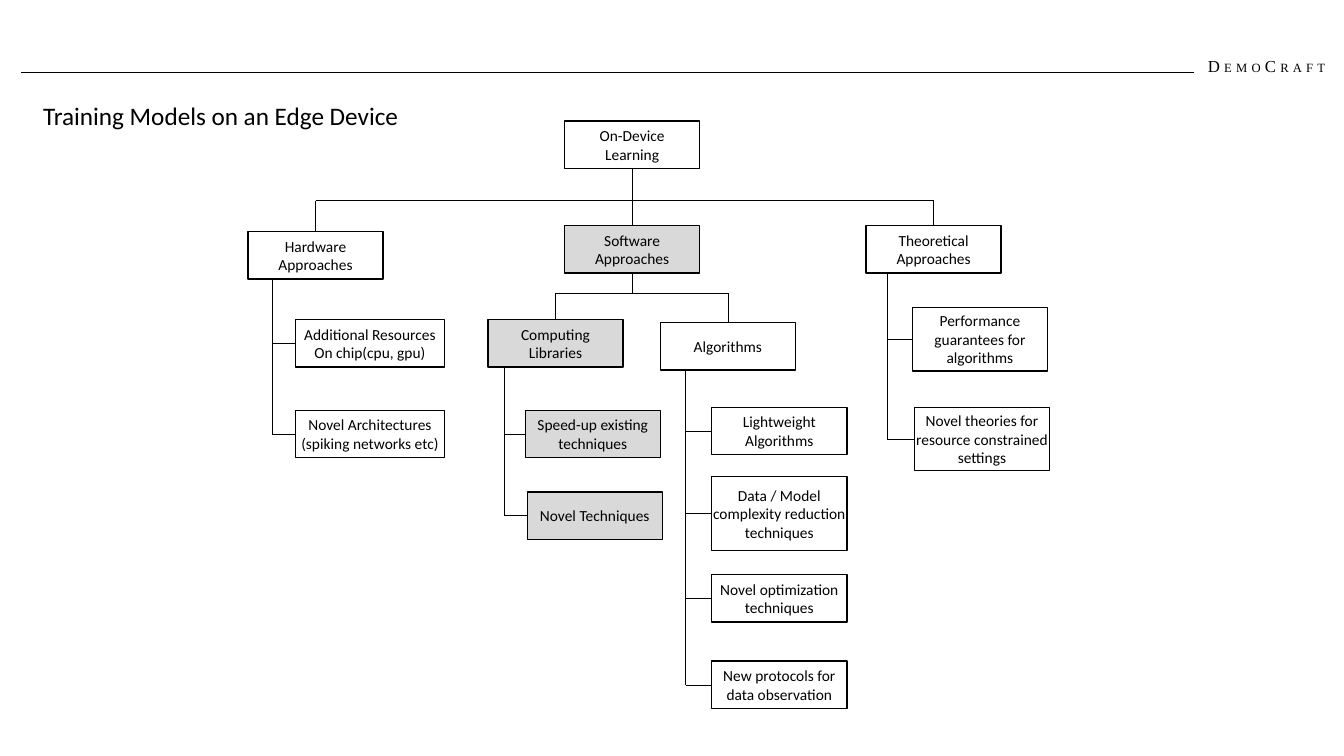
from lxml import etree
from pptx import Presentation
from pptx.dml.color import RGBColor
from pptx.enum.shapes import MSO_CONNECTOR, MSO_SHAPE
from pptx.enum.text import MSO_ANCHOR, MSO_AUTO_SIZE, PP_ALIGN
from pptx.oxml.ns import qn
from pptx.util import Inches, Pt

BLACK = RGBColor(0x00, 0x00, 0x00)
GREY = RGBColor(0xD9, 0xD9, 0xD9)
STRAIGHT = MSO_CONNECTOR.STRAIGHT
RECTANGLE = MSO_SHAPE.RECTANGLE
MIDDLE = MSO_ANCHOR.MIDDLE
CENTER = PP_ALIGN.CENTER
GROW = MSO_AUTO_SIZE.SHAPE_TO_FIT_TEXT
TOP, LEFT, BOTTOM = 0, 1, 2
BODY_FONT, HEADER_FONT = "Calibri", "Times New Roman"
BOX_W, BOX_H = 1.34, 0.47
WIDE_W, TALL_H = 1.48, 0.63


def style_run(r, size, font):
    r.font.size = Pt(size)
    r.font.name = font
    r.font.color.rgb = BLACK


def clear_insets(tf):
    tf.margin_left = tf.margin_right = tf.margin_top = tf.margin_bottom = 0


def add_box(s, text, x, y, w=BOX_W, h=BOX_H, shaded=False, tight=False):
    """Add a node; a tight one has no text insets."""
    sp = s.shapes.add_shape(RECTANGLE, Inches(x), Inches(y), Inches(w), Inches(h))
    sp.shadow.inherit = False
    if shaded:
        sp.fill.solid()
        sp.fill.fore_color.rgb = GREY
    else:
        sp.fill.background()
    sp.line.color.rgb = BLACK
    sp.line.width = Pt(1)
    tf = sp.text_frame
    tf.text = text
    tf.word_wrap = True
    tf.vertical_anchor = MIDDLE
    if tight:
        clear_insets(tf)
    for p in tf.paragraphs:
        p.alignment = CENTER
        style_run(p.runs[0], 11, BODY_FONT)
    return sp


def add_line(s, x1, y1, x2, y2):
    line = s.shapes.add_connector(STRAIGHT, x1, y1, x2, y2)
    line.line.color.rgb = BLACK
    line.line.width = Pt(0.5)
    etree.SubElement(line._element.spPr, qn("a:effectLst"))
    return line


def center_x(sp):
    return sp.left + sp.width // 2


def center_y(sp):
    return sp.top + sp.height // 2


def add_bus(s, parent, children, y, middle=None):
    """Link parent to children through a level line at y, and straight down to middle."""
    y = Inches(y)
    trunk_x = center_x(parent)
    trunk = add_line(s, trunk_x, parent.top + parent.height, trunk_x, y)
    trunk.begin_connect(parent, BOTTOM)
    if middle is not None:
        trunk.end_connect(middle, TOP)
    add_line(s, center_x(children[0]), y, center_x(children[-1]), y)
    for child in children:
        drop = add_line(s, center_x(child), y, center_x(child), child.top)
        drop.end_connect(child, TOP)


def add_spine(s, parent, children, x):
    """Hang children off an upright line at x below parent."""
    x = Inches(x)
    add_line(s, x, parent.top + parent.height, x, center_y(children[-1]))
    for child in children:
        branch = add_line(s, x, center_y(child), child.left, center_y(child))
        branch.end_connect(child, LEFT)


def add_header(s):
    add_line(s, Inches(0.21), Inches(0.72), Inches(11.84), Inches(0.72))
    tb = s.shapes.add_textbox(Inches(11.98), Inches(0.55), Inches(1.22), Inches(0.2))
    tf = tb.text_frame
    tf.word_wrap = True
    tf.auto_size = GROW
    clear_insets(tf)
    for text, size in (("D", 12), ("EMO", 9), ("C", 12), ("RAFT", 9)):
        r = tf.paragraphs[0].add_run()
        r.text = text
        style_run(r, size, HEADER_FONT)
        r.font._element.set("spc", "300")


def add_title(s, text):
    tb = s.shapes.add_textbox(Inches(0.33), Inches(0.95), Inches(3.77), Inches(0.4))
    tf = tb.text_frame
    tf.text = text
    tf.word_wrap = False
    tf.auto_size = GROW
    style_run(tf.paragraphs[0].runs[0], 18, BODY_FONT)


def add_tree(s):
    root = add_box(s, "On-Device\nLearning", 5.6, 1.2)
    hardware = add_box(s, "Hardware\nApproaches", 2.46, 2.3)
    software = add_box(s, "Software\nApproaches", 5.6, 2.24, shaded=True)
    theory = add_box(s, "Theoretical\nApproaches", 8.59, 2.24)
    libraries = add_box(s, "Computing\nLibraries", 4.84, 3.17, shaded=True)
    algorithms = add_box(s, "Algorithms", 6.55, 3.2)

    hardware_items = [
        add_box(s, text, 2.93, y, w=WIDE_W, tight=True)
        for text, y in (
            ("Additional Resources\nOn chip(cpu, gpu)", 3.17),
            ("Novel Architectures\n(spiking networks etc)", 4.07),
        )
    ]
    library_items = [
        add_box(s, "Speed-up existing\ntechniques", 5.21, 4.07, shaded=True),
        add_box(s, "Novel Techniques", 5.23, 4.88, shaded=True),
    ]
    algorithm_items = [
        add_box(s, text, 7.06, y, h=h, tight=tight)
        for text, y, h, tight in (
            ("Lightweight\nAlgorithms", 4.04, BOX_H, False),
            ("Data / Model complexity reduction techniques", 4.73, 0.73, True),
            ("Novel optimization techniques", 5.7, BOX_H, True),
            ("New protocols for data observation", 6.56, BOX_H, False),
        )
    ]
    theory_items = [
        add_box(s, text, x, y, h=TALL_H, tight=True)
        for text, x, y in (
            ("Performance guarantees for algorithms", 9.05, 3.05),
            ("Novel theories for resource constrained settings", 9.07, 4.04),
        )
    ]

    add_bus(s, root, [hardware, theory], 1.99, middle=software)
    add_bus(s, software, [libraries, algorithms], 2.91)
    add_spine(s, hardware, hardware_items, 2.7)
    add_spine(s, libraries, library_items, 5)
    add_spine(s, algorithms, algorithm_items, 6.8)
    add_spine(s, theory, theory_items, 8.8)


def main():
    prs = Presentation()
    prs.slide_width = Inches(13.33)
    prs.slide_height = Inches(7.5)
    s = prs.slides.add_slide(prs.slide_layouts[6])
    add_header(s)
    add_tree(s)
    add_title(s, "Training Models on an Edge Device")
    prs.save("out.pptx")


if __name__ == "__main__":
    main()
